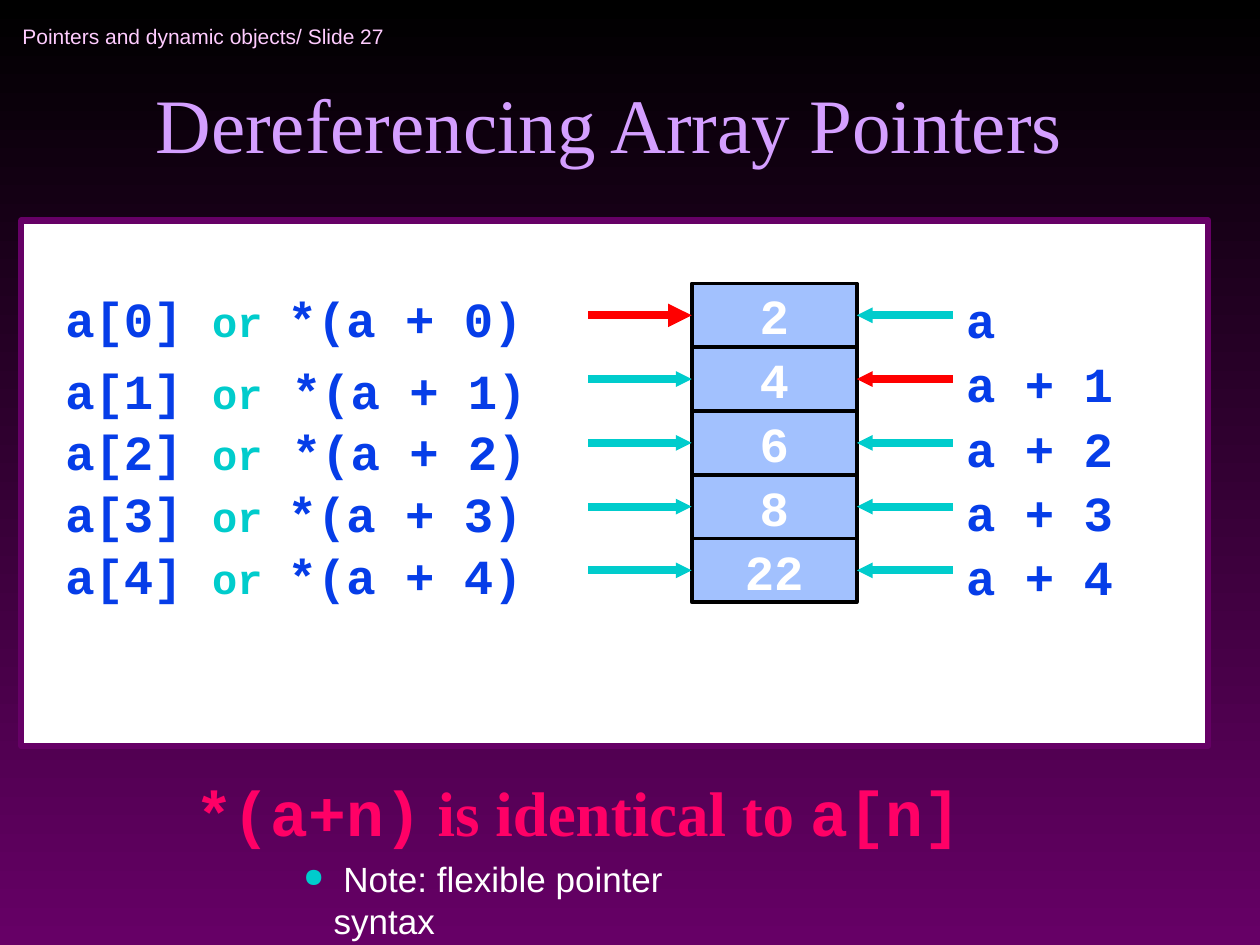
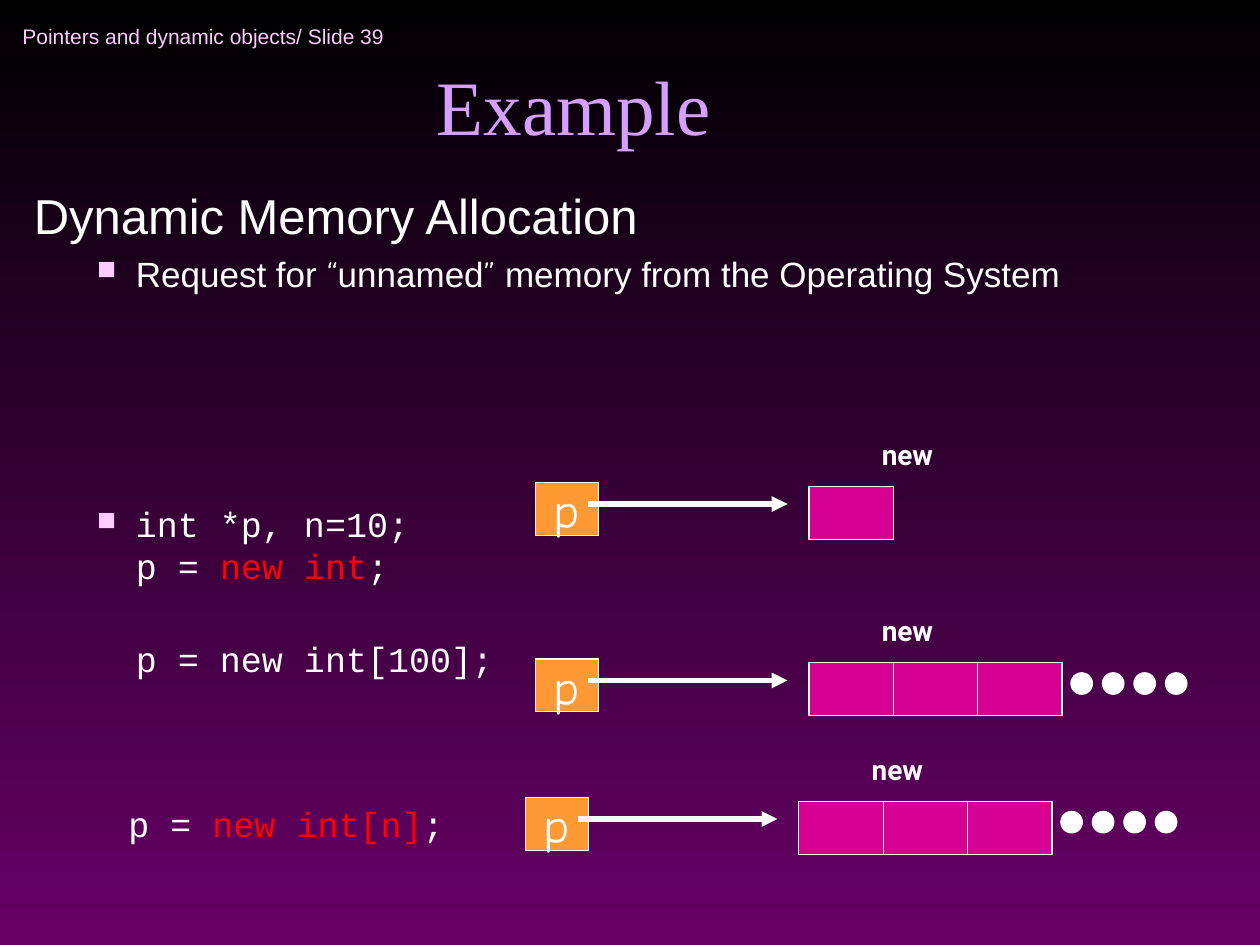
from lxml import etree
from pptx import Presentation
from pptx.dml.color import RGBColor
from pptx.enum import shapes, text
from pptx.oxml import ns
from pptx.util import Inches, Pt

COLOURS = {
    "black": "000000", "plum": "660066", "white": "FFFFFF", "lilac": "D49FFF",
    "pink": "FFCCFF", "rose": "FF0066", "sky": "A2C1FE", "teal": "00CCCC",
    "red": "FF0000", "blue": "063DE8", "orange": "FF9933", "magenta": "D60093",
}
STYLES = {
    "header": ("Arial", 12, "pink", False),
    "title": ("Times New Roman", 44, "lilac", False),
    "rule code": ("Courier New", 36, "rose", True),
    "rule words": ("Times New Roman", 36, "rose", True),
    "value": ("Courier New", 28, "white", True),
    "address": ("Courier New", 28, "blue", True),
    "or": ("Courier New", 24, "teal", True),
    "heading": ("Arial", 28, "white", False),
    "point": ("Arial", 20, "white", False),
    "quote": ("Comic Neue", 20, "white", False),
    "code": ("Courier New", 20, "white", False),
    "new code": ("Courier New", 20, "red", False),
    "pointer": ("Comic Neue", 28, "white", False),
    "new": ("Roboto", 16, "white", True),
}

ARRAY_VALUES = ["2", "4", "6", "8", "22"]
ADDRESSES = ["a", "a + 1", "a + 2", "a + 3", "a + 4"]
ELEMENTS = [
    [("a[0] ", "address"), ("or ", "or"), ("*(a + 0)", "address")],
    [("a[1] ", "address"), ("or", "or"), (" *(a + 1)", "address")],
    [("a[2] ", "address"), ("or", "or"), (" *(a + 2)", "address")],
    [("a[3] ", "address"), ("or ", "or"), ("*(a + 3)", "address")],
    [("a[4] ", "address"), ("or ", "or"), ("*(a + 4)", "address")],
]
RED_ELEMENT, RED_ADDRESS = 0, 1
RULE = [("*(a+n)", "rule code"), (" is identical to ", "rule words"), ("a[n]", "rule code")]
NOTE = [(" Note: flexible pointer syntax", "point")]

SQUARE, DISC = ("■", "pink"), ("●", "teal")
ALLOCATION = [
    {"spans": [("Dynamic Memory Allocation", "heading")], "before": 3},
    {"spans": [("Request for ", "point"), ("“", "quote"), ("unnamed", "point"), ("”", "quote"),
               (" memory from the Operating System", "point")],
     "before": 5, "margin": 0.81, "hang": 0.31, "bullet": SQUARE},
    {"spans": [("int *p, n=10;", "code"), ("\n", "code"), ("p = ", "code"),
               ("new int", "new code"), (";", "code")],
     "before": 119, "margin": 0.81, "hang": 0.31, "bullet": SQUARE, "line": 24},
    {"spans": [("p = new int[100];", "code")], "before": 29, "margin": 0.81, "line": 24},
]
NEW_N = [("p = ", "code"), ("new int[n]", "new code"), (";", "code")]
BLOCKS = [(4.25, 3.83, 1, 0), (4.25, 5.23, 3, 4), (4.17, 6.33, 3, 4)]


def colour(name):
    return RGBColor.from_string(COLOURS[name])


def set_font(font, style):
    font.name, size, shade, font.bold = STYLES[style]
    font.size = Pt(size)
    font.color.rgb = colour(shade)


def add_bullet(para, mark, shade):
    properties = para._p.get_or_add_pPr()
    tint = etree.SubElement(properties, ns.qn("a:buClr"))
    etree.SubElement(tint, ns.qn("a:srgbClr"), val=COLOURS[shade])
    etree.SubElement(properties, ns.qn("a:buSzPct"), val="75000")
    etree.SubElement(properties, ns.qn("a:buChar"), char=mark)


def write_para(para, spans, before=0, margin=0, hang=0, bullet=None, line=None, align=None):
    para.space_before = Pt(before)
    para.alignment = align
    if line:
        para.line_spacing = Pt(line)
    if margin:
        properties = para._p.get_or_add_pPr()
        properties.set("marL", str(Inches(margin)))
        properties.set("indent", str(-Inches(hang)))
    if bullet:
        add_bullet(para, *bullet)
    base = spans[0][1]
    set_font(para.font, base)
    for words, style in spans:
        if words == "\n":
            para.add_line_break()
            continue
        span = para.add_run()
        span.text = words
        if style != base:
            set_font(span.font, style)


def add_text(page, left, top, width, height, paras):
    box = page.shapes.add_textbox(Inches(left), Inches(top), Inches(width), Inches(height))
    frame = box.text_frame
    frame.word_wrap = True
    for index, para in enumerate(paras):
        write_para(frame.add_paragraph() if index else frame.paragraphs[0], **para)
    return box


def add_box(page, left, top, width, height, fill, line, weight,
            kind=shapes.MSO_SHAPE.RECTANGLE, spans=None, before=0):
    box = page.shapes.add_shape(kind, Inches(left), Inches(top), Inches(width), Inches(height))
    box.shadow.inherit = False
    box.fill.solid()
    box.fill.fore_color.rgb = colour(fill)
    box.line.color.rgb = colour(line)
    box.line.width = Pt(weight)
    if spans:
        box.text_frame.word_wrap = False
        box.text_frame.vertical_anchor = text.MSO_ANCHOR.MIDDLE
        write_para(box.text_frame.paragraphs[0], spans, before, align=text.PP_ALIGN.CENTER)
    return box


def add_arrow(page, start, end, y, shade, weight, head="med"):
    arrow = page.shapes.add_connector(
        shapes.MSO_CONNECTOR.STRAIGHT, Inches(start), Inches(y), Inches(end), Inches(y))
    arrow.line.color.rgb = colour(shade)
    arrow.line.width = Pt(weight)
    etree.SubElement(arrow.line._get_or_add_ln(), ns.qn("a:tailEnd"),
                     type="triangle", w=head, len=head)
    etree.SubElement(arrow._element.spPr, ns.qn("a:effectLst"))
    return arrow


def add_page(deck, number, title, left, top):
    page = deck.slides.add_slide(deck.slide_layouts[5])
    header = add_text(page, 0.08, 0.08, 3.2, 0.42,
                      [{"spans": [(f"Pointers and dynamic objects/ Slide {number}", "header")]}])
    header.text_frame.vertical_anchor = text.MSO_ANCHOR.MIDDLE
    holder = page.shapes.title
    holder.left, holder.top = Inches(left), Inches(top)
    holder.width, holder.height = Inches(8.61), Inches(0.75)
    frame = holder.text_frame
    frame.auto_size = text.MSO_AUTO_SIZE.NONE
    frame.vertical_anchor = text.MSO_ANCHOR.BOTTOM
    write_para(frame.paragraphs[0], [(title, "title")], align=text.PP_ALIGN.CENTER)
    return page


def build_array_page(deck):
    page = add_page(deck, 27, "Dereferencing Array Pointers", 0.53, 0.64)
    add_text(page, 1.45, 6.09, 6.4, 0.7, [{"spans": RULE}])
    add_box(page, 0.17, 1.75, 9.42, 4.17, "white", "plum", 3.5)

    array_top, array_bottom = 2.25, 4.78
    pitch = (array_bottom - array_top) / len(ARRAY_VALUES)
    for index, (value, address, element) in enumerate(zip(ARRAY_VALUES, ADDRESSES, ELEMENTS)):
        top = array_top + index * pitch
        middle = top + pitch / 2
        cell = add_box(page, 5.49, top, 1.31, pitch, "sky", "black", 2,
                       spans=[(value, "value")], before=7)
        is_red = index == RED_ELEMENT
        arrow = add_arrow(page, 4.67, 5.49, middle, "red" if is_red else "teal", 4.5,
                          "med" if is_red else "sm")
        arrow.end_connect(cell, 1)
        arrow = add_arrow(page, 7.56, 6.8, middle,
                          "red" if index == RED_ADDRESS else "teal", 4.5, "sm")
        arrow.end_connect(cell, 3)
        add_text(page, 7.57, 2.25 + 0.51 * index, 1.58, 0.57,
                 [{"spans": [(address, "address")], "before": 7}])
        element_top = 2.32 + 0.49 * index if index else 2.24
        add_text(page, 0.42, element_top, 4.33, 0.57, [{"spans": element, "before": 7}])

    add_text(page, 2.31, 6.76, 3.85, 0.44,
             [{"spans": NOTE, "before": 5, "margin": 0.24, "hang": 0.24, "bullet": DISC}])


def add_block(page, left, top, cells, dots):
    add_box(page, left, top, 0.5, 0.42, "orange", "white", 0.75, spans=[("p", "pointer")])
    add_arrow(page, left + 0.42, left + 2, top + 0.17, "white", 3)
    add_text(page, left + 2.65, top - 0.41, 0.72, 0.37, [{"spans": [("new", "new")]}])
    for index in range(cells):
        add_box(page, left + 2.17 + index * 0.67, top + 0.03, 0.67, 0.42,
                "magenta", "white", 0.75)
    for index in range(dots):
        add_box(page, left + 4.25 + index * 0.25, top + 0.11, 0.17, 0.17,
                "white", "white", 0.75, shapes.MSO_SHAPE.OVAL)


def build_example_page(deck):
    page = add_page(deck, 39, "Example", 0.25, 0.5)
    add_text(page, 0.17, 1.42, 9.54, 3.21, ALLOCATION)
    add_text(page, 0.42, 6.32, 3.3, 0.44, [{"spans": NEW_N, "before": 5, "margin": 0.5}])
    for block in BLOCKS:
        add_block(page, *block)


def main():
    deck = Presentation()
    deck.slide_width, deck.slide_height = Inches(10), Inches(7.5)
    fill = deck.slide_master.background.fill
    fill.gradient()
    fill.gradient_angle = 270
    for stop, shade in zip(fill.gradient_stops, ("black", "plum")):
        stop.color.rgb = colour(shade)
    build_array_page(deck)
    build_example_page(deck)
    deck.save("out.pptx")


if __name__ == "__main__":
    main()
